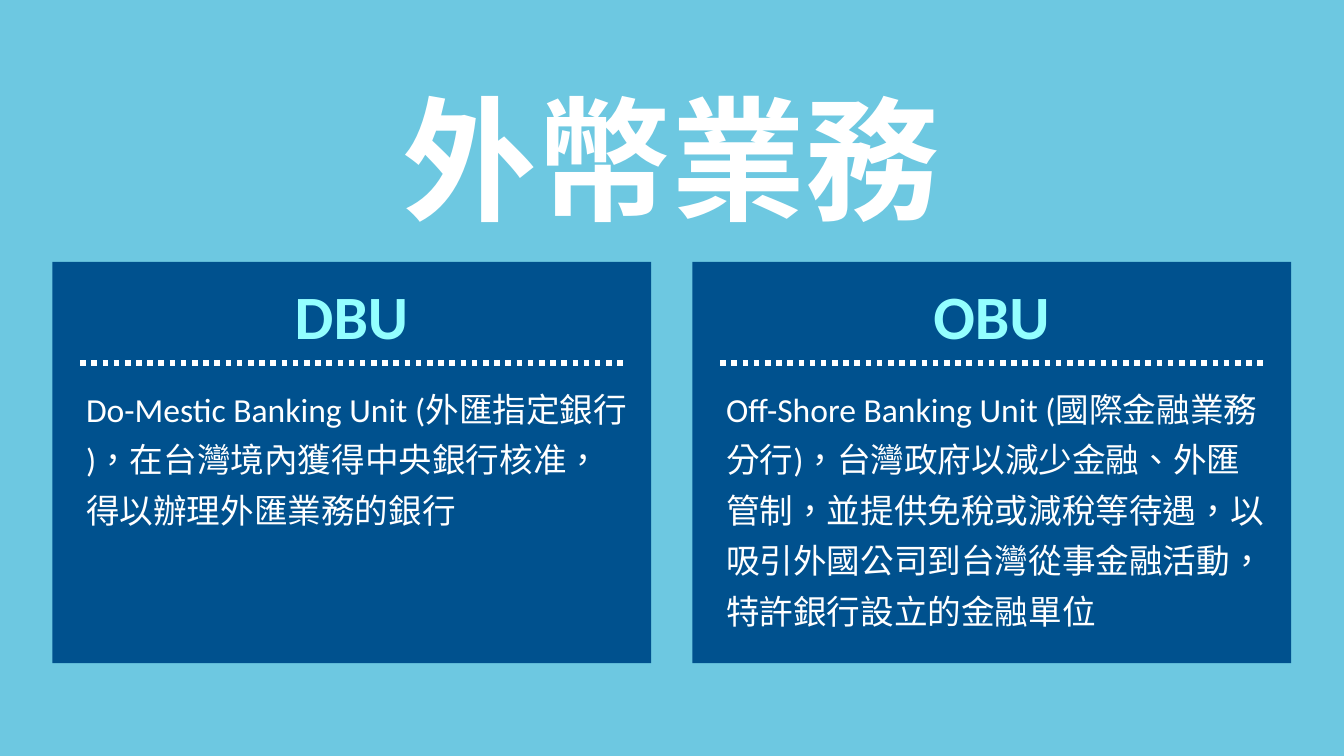
"""Builds a slide that sets the DBU and OBU foreign-currency units side by side."""
from lxml import etree
from pptx import Presentation
from pptx import util as u
from pptx.dml.color import RGBColor
from pptx.enum import dml, shapes, text
from pptx.oxml.ns import qn


def colour(hex_value):
    return RGBColor.from_string(hex_value)


def add_text(left, top, width, height, spans, size, ink, align, **formats):
    box = page.shapes.add_textbox(u.Cm(left), u.Cm(top), u.Cm(width), u.Cm(height))
    box.text_frame.word_wrap = True
    para = box.text_frame.paragraphs[0]
    para.alignment = align
    para.line_spacing = formats.pop("spacing", 1.0)
    east_asian = formats.pop("east_asian", None)
    for words, face in spans:
        span = para.add_run()
        span.text = words
        span.font.color.rgb = colour(ink)
        for name, value in {"size": u.Pt(size), "name": face, **formats}.items():
            setattr(span.font, name, value)
        properties = span.font._element
        properties.set("lang", "zh-TW")
        if east_asian:
            etree.SubElement(properties, qn("a:ea")).set("typeface", east_asian)


CENTER, LEFT = text.PP_ALIGN.CENTER, text.PP_ALIGN.LEFT
CJK = "Noto Sans CJK SC"
CARD_TOP, CARD_WIDTH, CARD_HEIGHT = 6.6, 15.09, 10.11
RULE_TOP, RULE_WIDTH = 9.14, 13.79

cards = [
    (1.32, "DBU", [
        ("Do-Mestic Banking Unit (", "Calibri"),
        ("外匯指定銀行 ", "Arial"),
        (")，在台灣境內獲得中央銀行核准，得以辦理外匯業務的銀行", "Calibri"),
    ]),
    (17.45, "OBU", [
        ("Off-Shore Banking Unit (國際金融業務分行)，台灣政府以減少金融、外匯管制，"
         "並提供免稅或減稅等待遇，以吸引外國公司到台灣從事金融活動，特許銀行設立的金融單位", "Calibri"),
    ]),
]

deck = Presentation()
deck.slide_width, deck.slide_height = u.Cm(33.87), u.Cm(19.05)
page = deck.slides.add_slide(deck.slide_layouts[6])
page.background.fill.solid()
page.background.fill.fore_color.rgb = colour("6DC8E1")

add_text(9.32, 1.8, 15.19, 4.37, [("外幣業務", CJK)], 96, "FFFFFF", CENTER,
         bold=True, east_asian=CJK)

for left, heading, description in cards:
    card = page.shapes.add_shape(shapes.MSO_SHAPE.RECTANGLE, u.Cm(left), u.Cm(CARD_TOP),
                                 u.Cm(CARD_WIDTH), u.Cm(CARD_HEIGHT))
    card.shadow.inherit = False
    card.fill.solid()
    card.fill.fore_color.rgb = colour("00518E")
    card.line.fill.background()

    add_text(left + 0.3, 6.88, 14.48, 2.13, [(heading, "Calibri")], 44, "93FFFF", CENTER,
             bold=True)
    add_text(left + 0.6, 9.42, 14.15, 6.68, description, 24, "FFFFFF", LEFT, spacing=1.25)

    rule_left = left + 0.7
    rule = page.shapes.add_connector(shapes.MSO_CONNECTOR.STRAIGHT, u.Cm(rule_left), u.Cm(RULE_TOP),
                                     u.Cm(rule_left + RULE_WIDTH), u.Cm(RULE_TOP))
    rule.line.color.rgb = colour("FFFFFF")
    rule.line.width = u.Pt(4)
    rule.line.dash_style = dml.MSO_LINE.ROUND_DOT
    etree.SubElement(rule._element.spPr, qn("a:effectLst"))

deck.save("out.pptx")
